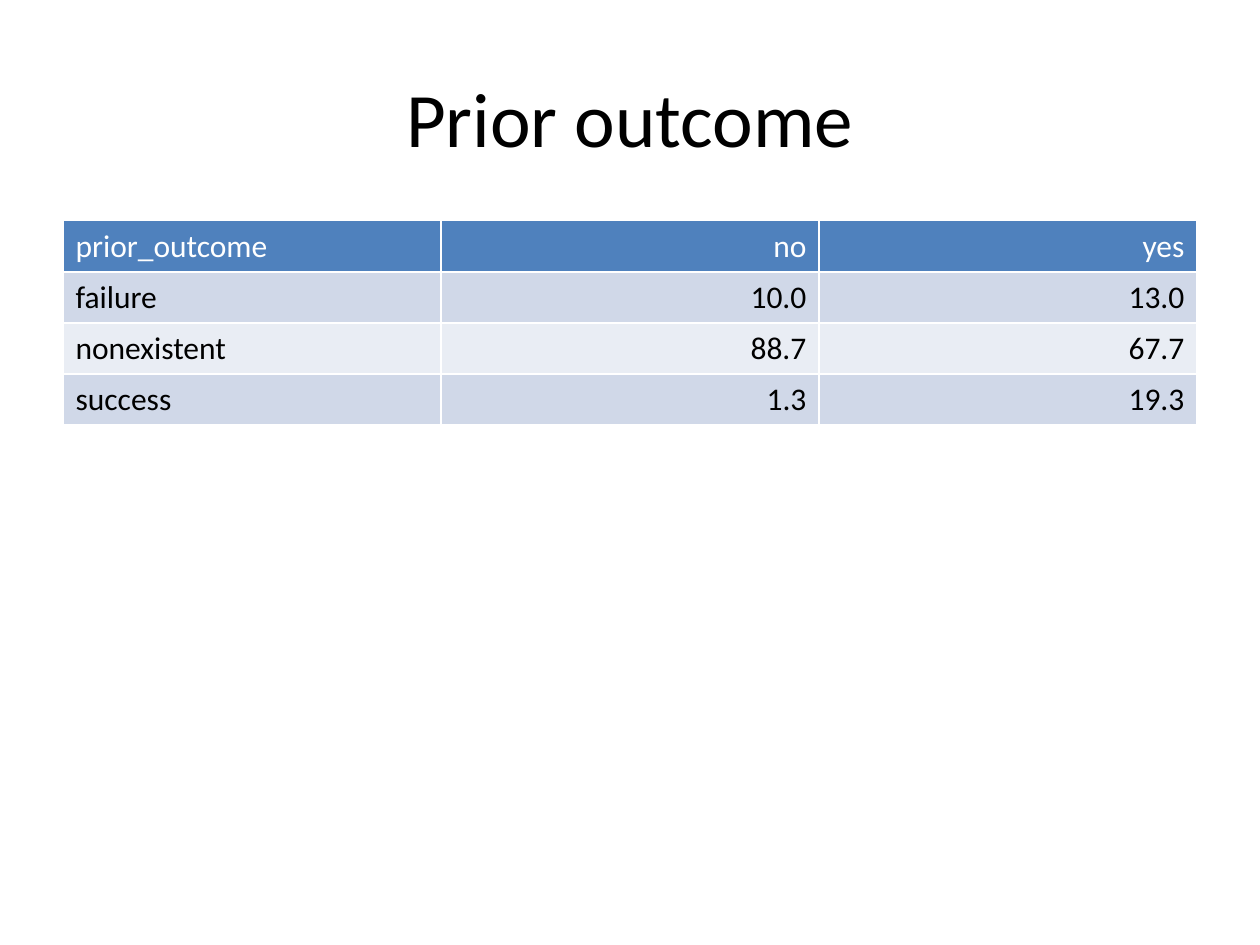
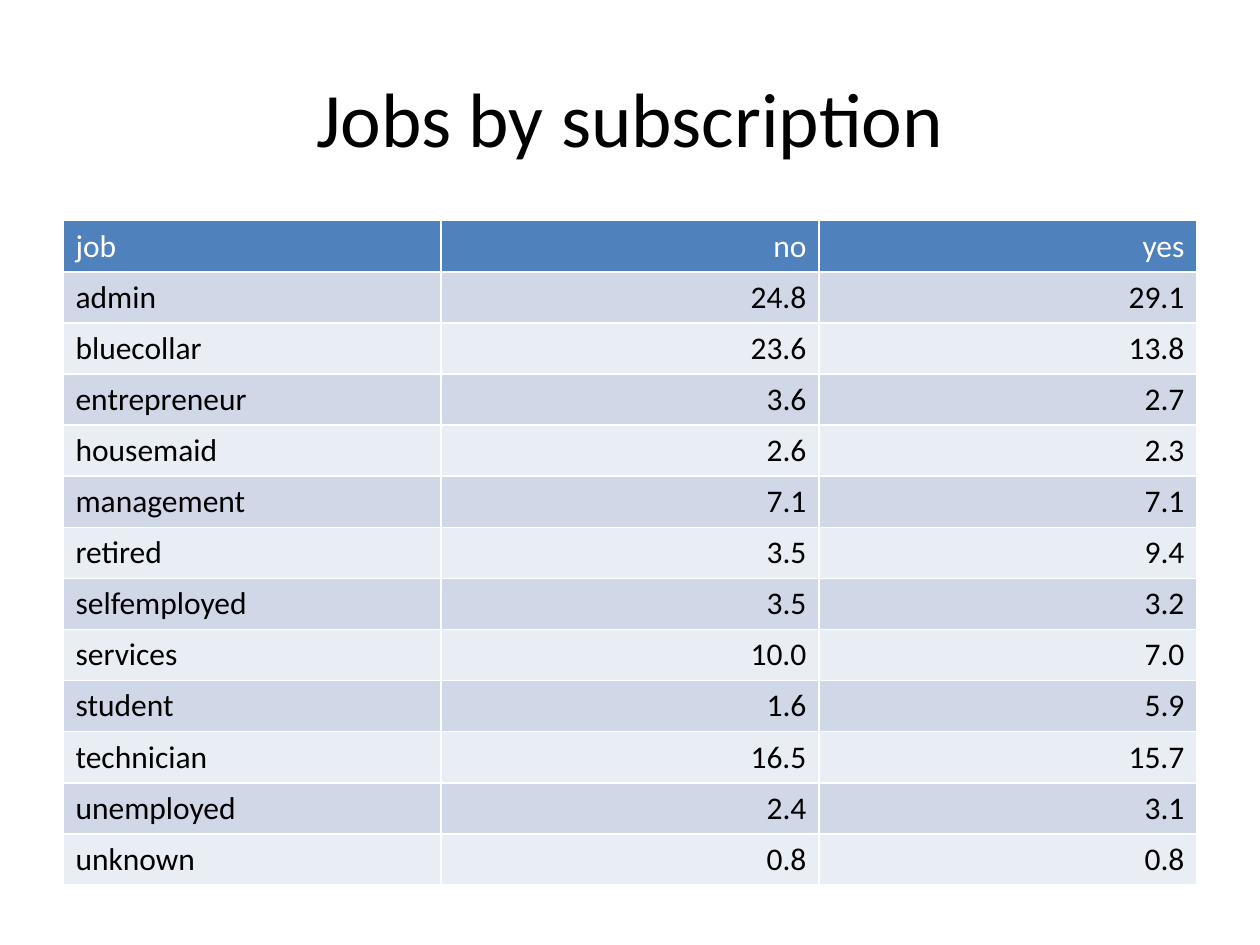
"""Build two slides, each with a title and a percentage table."""
import pptx
import pptx.dml.color
import pptx.enum.text
import pptx.oxml
import pptx.oxml.ns
import pptx.util
from pptx.util import Cm

COLOURS = {
    "header": "4F81BD",
    "odd band": "D0D8E8",
    "even band": "E9EDF4",
    "light": "FFFFFF",
    "dark": "000000",
}
ALIGN = pptx.enum.text.PP_ALIGN
MARGIN, CONTENT_WIDTH = Cm(1.27), Cm(22.86)
TITLE_PLACE = {"left": MARGIN, "top": Cm(0.76), "width": CONTENT_WIDTH, "height": Cm(3.18)}
TABLE_TOP, ROW_HEIGHT = Cm(4.45), Cm(1.03)
TITLE_FONT = {"name": "Calibri", "size": pptx.util.Pt(44), "bold": False}
CELL_FONT = {"name": "Calibri", "size": pptx.util.Pt(18), "bold": False}
BORDER_POINTS = 1

PRIOR_OUTCOMES = [
    ("prior_outcome", "no", "yes"),
    ("failure", 10.0, 13.0),
    ("nonexistent", 88.7, 67.7),
    ("success", 1.3, 19.3),
]
JOBS = [
    ("job", "no", "yes"),
    ("admin", 24.8, 29.1),
    ("bluecollar", 23.6, 13.8),
    ("entrepreneur", 3.6, 2.7),
    ("housemaid", 2.6, 2.3),
    ("management", 7.1, 7.1),
    ("retired", 3.5, 9.4),
    ("selfemployed", 3.5, 3.2),
    ("services", 10.0, 7.0),
    ("student", 1.6, 5.9),
    ("technician", 16.5, 15.7),
    ("unemployed", 2.4, 3.1),
    ("unknown", 0.8, 0.8),
]


def apply_format(target, values):
    """Set every attribute named in values on target."""
    for name, value in values.items():
        setattr(target, name, value)


def colour(name):
    """Return the named colour as an RGB value."""
    return pptx.dml.color.RGBColor.from_string(COLOURS[name])


def write_text(frame, text, font, ink, alignment):
    """Write one formatted paragraph into a text frame."""
    para = frame.paragraphs[0]
    para.alignment = alignment
    span = para.add_run()
    span.text = text
    apply_format(span.font, font)
    span.font.color.rgb = colour(ink)


def add_borders(cell):
    """Draw a thin light line on all four sides of a cell."""
    properties = cell._tc.get_or_add_tcPr()
    for position, side in enumerate("LRTB"):
        line = pptx.oxml.parse_xml(
            f'<a:ln{side} {pptx.oxml.ns.nsdecls("a")} w="{pptx.util.Pt(BORDER_POINTS)}">'
            f'<a:solidFill><a:srgbClr val="{COLOURS["light"]}"/></a:solidFill>'
            f"</a:ln{side}>"
        )
        properties.insert(position, line)


def add_title(page, text):
    """Place and fill the title placeholder."""
    box = page.shapes.title
    apply_format(box, TITLE_PLACE)
    box.text_frame.vertical_anchor = pptx.enum.text.MSO_ANCHOR.MIDDLE
    write_text(box.text_frame, text, TITLE_FONT, "dark", ALIGN.CENTER)


def add_banded_table(page, rows):
    """Add a table with a header row, banded rows and right-aligned values."""
    table = page.shapes.add_table(
        len(rows), len(rows[0]), MARGIN, TABLE_TOP, CONTENT_WIDTH, ROW_HEIGHT * len(rows)
    ).table
    for row_index, row in enumerate(rows):
        band = "odd band" if row_index % 2 else "even band"
        fill, ink = (band, "dark") if row_index else ("header", "light")
        for column_index, value in enumerate(row):
            cell = table.cell(row_index, column_index)
            cell.fill.solid()
            cell.fill.fore_color.rgb = colour(fill)
            add_borders(cell)
            alignment = ALIGN.RIGHT if column_index else ALIGN.LEFT
            write_text(cell.text_frame, str(value), CELL_FONT, ink, alignment)


def add_table_page(deck, title, rows):
    """Add a slide holding a title and a table."""
    page = deck.slides.add_slide(deck.slide_layouts.get_by_name("Title Only"))
    add_title(page, title)
    add_banded_table(page, rows)


def main():
    """Build and save the deck."""
    deck = pptx.Presentation()
    apply_format(deck, {"slide_width": Cm(25.4), "slide_height": Cm(19.05)})
    add_table_page(deck, "Prior outcome", PRIOR_OUTCOMES)
    add_table_page(deck, "Jobs by subscription", JOBS)
    deck.save("out.pptx")


main()
